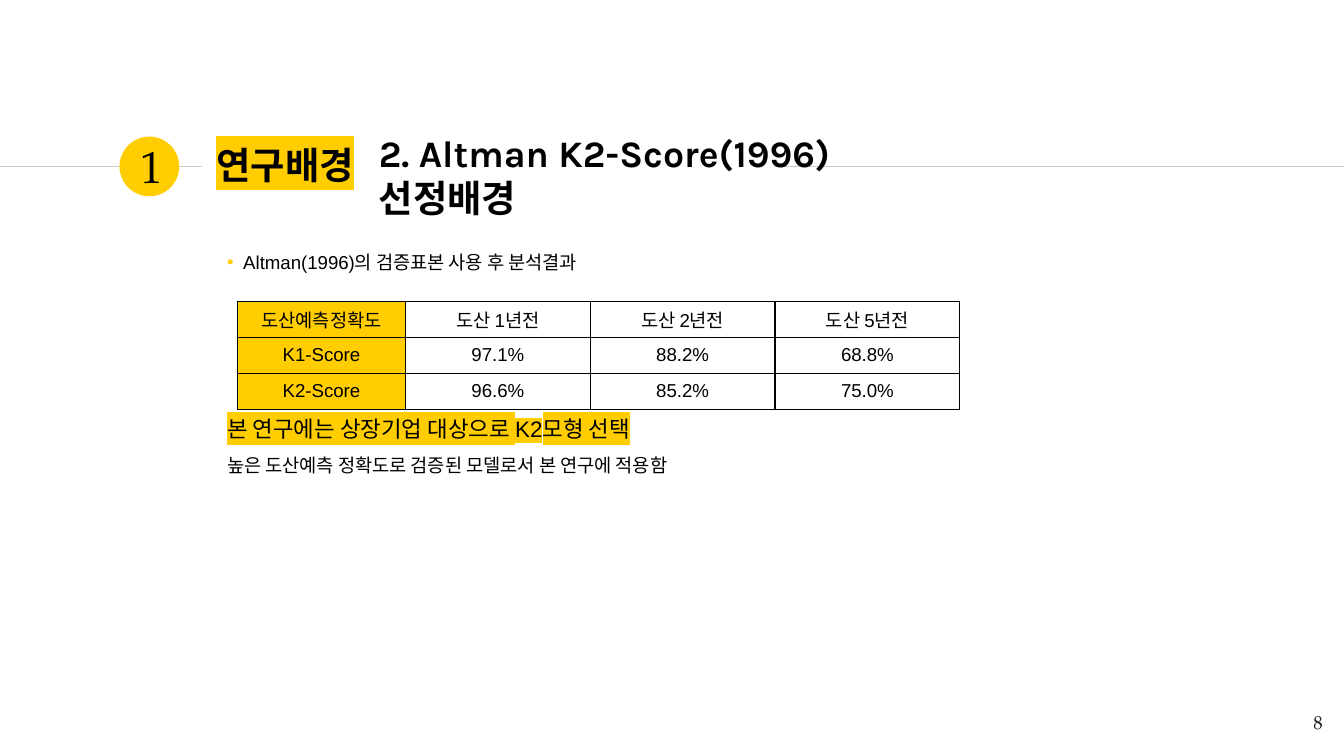
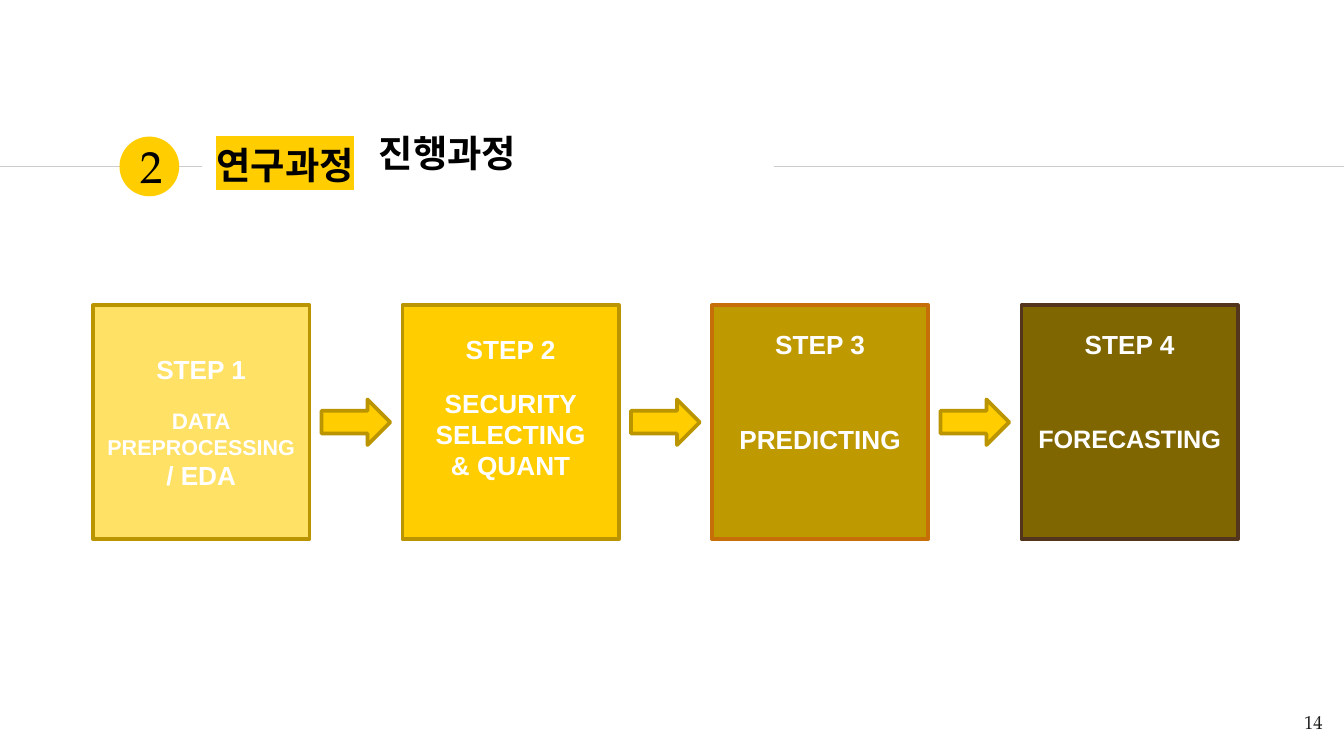
from lxml.etree import SubElement
from pptx import Presentation
from pptx.dml.color import RGBColor
from pptx.enum.shapes import MSO_CONNECTOR, MSO_SHAPE
from pptx.enum.text import MSO_ANCHOR, MSO_AUTO_SIZE, PP_ALIGN
from pptx.oxml.ns import qn
from pptx.util import Pt

GOLD, RIM, GREY = "FFCD00", "BA9500", "CCCCCC"
BLACK, WHITE, INK = "000000", "FFFFFF", "1D1D1B"
SERIF, SANS, HEAD = "TeX Gyre Pagella", "Arial", "Karla"
LEFT, MID, RIGHT = PP_ALIGN.LEFT, PP_ALIGN.CENTER, PP_ALIGN.RIGHT


def rgb(code):
    return RGBColor.from_string(code)


def add_color(node, code):
    SubElement(node, qn("a:srgbClr"), val=code)


class Deck:
    """Holds the style and the current slide."""

    def __init__(self):
        self.prs = Presentation()
        self.prs.slide_width, self.prs.slide_height = Pt(720), Pt(405)
        self.slide = None

    def start(self, layout, part, title, head, page):
        """Open a slide with the shared lines, badge, titles and page number."""
        self.slide = self.prs.slides.add_slide(self.prs.slide_layouts[layout])
        self.line(0, 108, 89.3)
        self.line(414.7, 720, 89.3)
        self.shape(MSO_SHAPE.OVAL, (64, 73.2, 32, 32), GOLD)
        holder = self.slide.shapes.title
        frame = self.place(holder, (108.7, 70.6, 305.3, 34.6))
        frame.vertical_anchor = MSO_ANCHOR.MIDDLE
        frame.text = title
        self.style(frame.paragraphs[0], 20, SERIF, bold=True, mark=GOLD)
        self.text((190, 62.6, 325, 42.5), head, 20, HEAD, bold=True,
                  before=6, indent=5.8)
        self.text((68.4, 70.6, 24, 36), part, 24, SERIF, align=MID, pad=3.6)
        self.text((672.5, 373.7, 43.2, 31), page, 10, SERIF, INK, align=RIGHT)

    def place(self, shape, box, pad=7.2):
        """Set position and text margins; return the text frame."""
        shape.left, shape.top, shape.width, shape.height = map(Pt, box)
        frame = shape.text_frame
        frame.word_wrap = True
        frame.auto_size = MSO_AUTO_SIZE.NONE
        frame.margin_left = frame.margin_right = Pt(7.2)
        frame.margin_top = frame.margin_bottom = Pt(pad)
        return frame

    def style(self, par, size, font=SANS, color=BLACK, bold=False, mark=None,
              align=LEFT, before=0, indent=0, hang=0):
        par.alignment = align
        par.space_before = Pt(before)
        props = par._p.get_or_add_pPr()
        props.set("marL", str(Pt(indent)))
        props.set("indent", str(Pt(-hang)))
        for run in par.runs:
            face = run.font
            face.size, face.name, face.bold = Pt(size), font, bold
            face.color.rgb = rgb(color)
            if mark:
                glow = SubElement(run._r.rPr, qn("a:highlight"))
                add_color(glow, mark)
                run._r.rPr.find(qn("a:solidFill")).addnext(glow)

    def bullet(self, par, sign=None):
        props = par._p.get_or_add_pPr()
        if sign:
            add_color(SubElement(props, qn("a:buClr")), GOLD)
            SubElement(props, qn("a:buChar"), char=sign)
        else:
            SubElement(props, qn("a:buNone"))

    def text(self, box, words, size, font, color=BLACK, pad=7.2, **look):
        shape = self.slide.shapes.add_textbox(*map(Pt, box))
        frame = self.place(shape, box, pad)
        frame.text = words
        self.style(frame.paragraphs[0], size, font, color, **look)

    def line(self, start, end, top):
        link = self.slide.shapes.add_connector(
            MSO_CONNECTOR.STRAIGHT, Pt(start), Pt(top), Pt(end), Pt(top))
        link.line.color.rgb = rgb(GREY)
        link.line.width = Pt(0.75)
        SubElement(link._element.spPr, qn("a:effectLst"))

    def shape(self, kind, box, fill, rim=None):
        shape = self.slide.shapes.add_shape(kind, *map(Pt, box))
        shape.shadow.inherit = False
        shape.fill.solid()
        shape.fill.fore_color.rgb = rgb(fill)
        if rim:
            shape.line.color.rgb = rgb(rim)
            shape.line.width = Pt(2)
        else:
            shape.line.fill.background()
        return shape

    def card(self, box, fill, rim, rows, gap, foot):
        """Draw a step box; gap follows its first row, foot lifts the text."""
        frame = self.place(self.shape(MSO_SHAPE.RECTANGLE, box, fill, rim),
                           box, 3.6)
        frame.margin_bottom = Pt(3.6 + foot)
        frame.vertical_anchor = MSO_ANCHOR.MIDDLE
        frame.text = "\n".join(words for words, _ in rows)
        for i, (par, (_, size)) in enumerate(zip(frame.paragraphs, rows)):
            self.style(par, size, color=WHITE, bold=True, align=MID,
                       before=gap if i == 1 else 0)

    def list(self, box, rows):
        """Fill the body; rows are (words, bullet, look)."""
        frame = self.place(self.slide.placeholders[1], box)
        frame.vertical_anchor = MSO_ANCHOR.TOP
        frame.text = "\n".join(row[0] for row in rows)
        for par, (_, sign, look) in zip(frame.paragraphs, rows):
            self.style(par, **look)
            self.bullet(par, sign)

    def table(self, left, top, cols, high, rows):
        grid = self.slide.shapes.add_table(
            len(rows), len(cols), Pt(left), Pt(top),
            Pt(sum(cols)), Pt(high * len(rows))).table
        grid.first_row = grid.horz_banding = False
        for col, wide in zip(grid.columns, cols):
            col.width = Pt(wide)
        for r, row in enumerate(rows):
            grid.rows[r].height = Pt(high)
            for c, words in enumerate(row):
                self.cell(grid.cell(r, c), words, GOLD if c == 0 else None)

    def cell(self, cell, words, fill):
        cell.margin_left = cell.margin_right = Pt(5.1)
        cell.margin_top = cell.margin_bottom = Pt(1.4)
        cell.vertical_anchor = MSO_ANCHOR.MIDDLE
        cell.text = words
        par = cell.text_frame.paragraphs[0]
        self.style(par, 10, align=MID)
        par.line_spacing = 1.03
        for side in "LRTB":
            edge = SubElement(cell._tc.get_or_add_tcPr(), qn("a:ln" + side),
                              w=str(Pt(0.75)))
            add_color(SubElement(edge, qn("a:solidFill")), BLACK)
        if fill:
            cell.fill.solid()
            cell.fill.fore_color.rgb = rgb(fill)
        else:
            cell.fill.background()


def main():
    deck = Deck()

    # Background: accuracy table and model choice
    deck.start(1, "1", "연구배경", "2. Altman K2-Score(1996) 선정배경", "8")
    deck.list((108.7, 127.4, 536.4, 244.8), [
        ("Altman(1996)의 검증표본 사용 후 분석결과", "•",
         dict(size=10, before=6, indent=14.4, hang=8.6)),
        ("본 연구에는 상장기업 대상으로 K2모형 선택", None,
         dict(size=12, before=76, indent=5.8, mark=GOLD)),
        ("높은 도산예측 정확도로 검증된 모델로서 본 연구에 적용함", None,
         dict(size=10, before=6, indent=5.8)),
    ])
    deck.table(127.2, 161.4, [90, 99, 99, 99], 19.3, [
        ["도산예측정확도", "도산 1년전", "도산 2년전", "도산 5년전"],
        ["K1-Score", "97.1%", "88.2%", "68.8%"],
        ["K2-Score", "96.6%", "85.2%", "75.0%"],
    ])

    # Process: four steps joined by arrows
    deck.start(5, "2", "연구과정", "진행과정", "14")
    steps = [
        ("FFE166", RIM, 12, 0,
         [("DATA", 12), ("PREPROCESSING", 11.5), ("/ EDA", 14)]),
        (GOLD, RIM, 12, 16, [("SECURITY SELECTING", 14), ("& QUANT", 14)]),
        ("BF9900", "C66E07", 34, 33, [("PREDICTING", 14)]),
        ("7F6600", "53341C", 34, 33, [("FORECASTING", 13.5)]),
    ]
    left, top, wide, high, pitch = 49.8, 163.6, 116, 125.2, 165.8
    tip, thick = 36.8, 24.4
    for i, (fill, rim, gap, foot, rows) in enumerate(steps):
        x = left + i * pitch
        deck.card((x, top, wide, high), fill, rim,
                  [(f"STEP {i + 1}", 14)] + rows, gap, foot)
        if i < len(steps) - 1:
            deck.shape(MSO_SHAPE.RIGHT_ARROW,
                       (x + (wide + pitch - tip) / 2,
                        top + (high - thick) / 2, tip, thick), GOLD, RIM)

    deck.prs.save("out.pptx")


if __name__ == "__main__":
    main()
